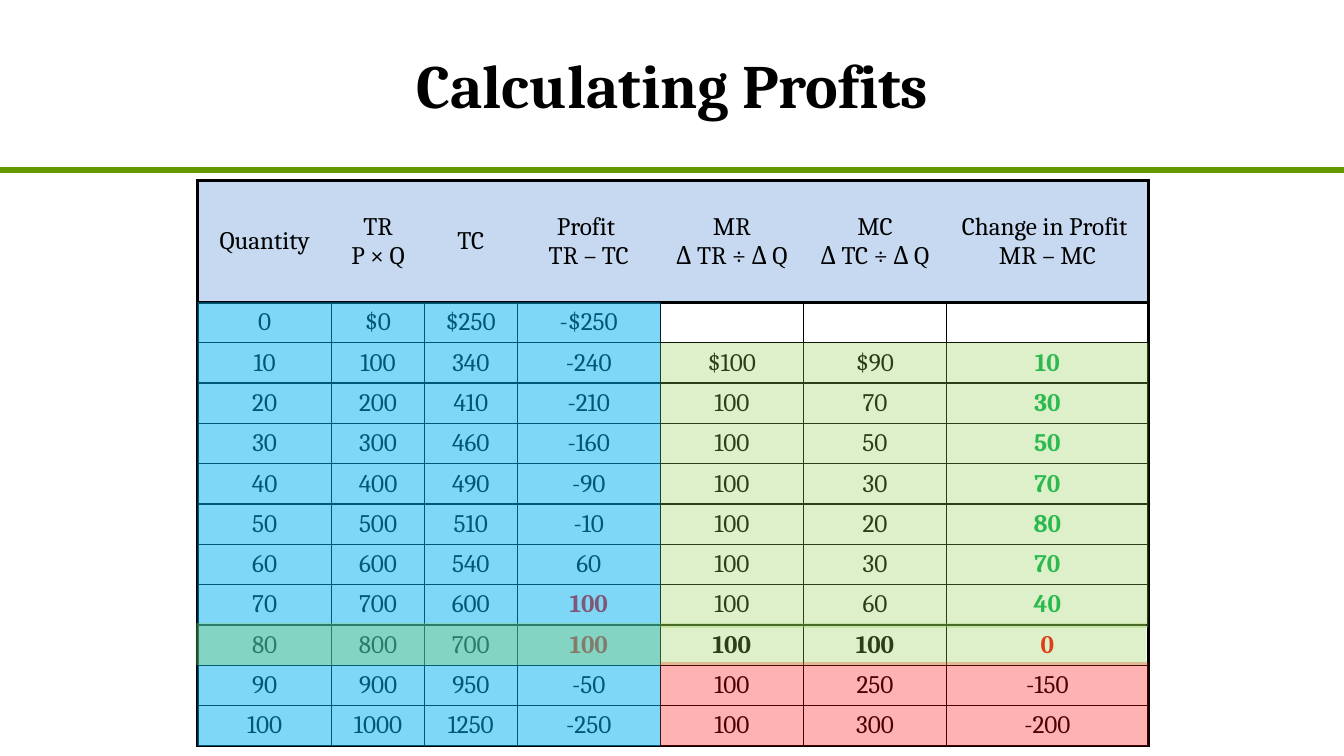
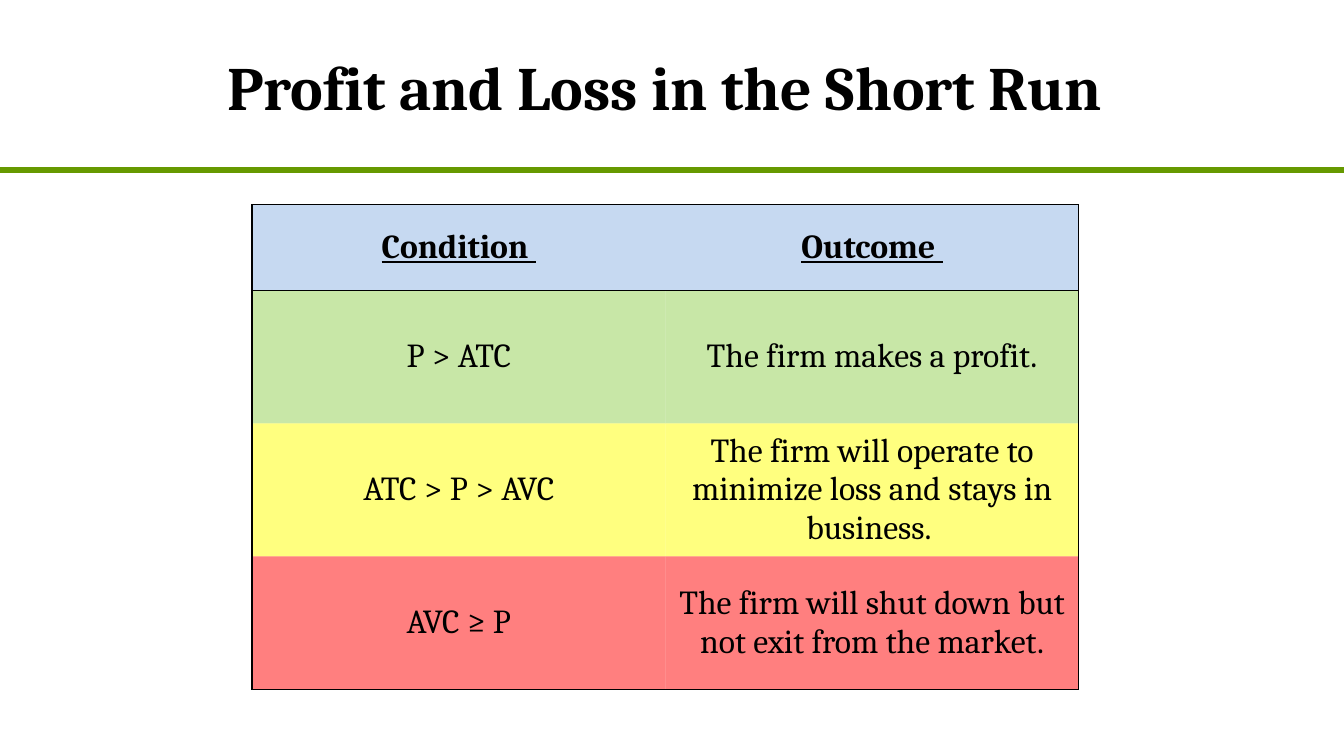
import pptx
import pptx.util
import pptx.dml.color
import pptx.enum.shapes
import pptx.enum.text
import pptx.oxml.ns
from lxml import etree

Inch, Pt = pptx.util.Inches, pptx.util.Pt
RGB = pptx.dml.color.RGBColor
qn = pptx.oxml.ns.qn
MID = pptx.enum.text.MSO_ANCHOR.MIDDLE
MIDDLE = pptx.enum.text.PP_ALIGN.CENTER

# Shared look
BLACK, WHITE = RGB(0, 0, 0), RGB(255, 255, 255)
RULE = RGB(0x66, 0x99, 0x00)
HEAD = RGB(0xC6, 0xD9, 0xF1)
BLUE = RGB(0x00, 0xB0, 0xF0)
LIME = RGB(0x92, 0xD0, 0x50)
GREEN = RGB(0x00, 0xB0, 0x50)
RED = RGB(255, 0, 0)
YELLOW = RGB(255, 255, 0)
WIDE, HIGH = 13.33, 7.5
BASE = {"name": "Cambria", "bold": False, "color": BLACK}
TITLE = {"size": Pt(44), "bold": True}

# Profit table
COSTS = {
    "title": ("Calculating Profits", (2.17, 0, 9, 1.67)),
    "at": (1.96, 1.79),
    "cols": [1.33, 0.92, 0.92, 1.42, 1.42, 1.42, 2],
    "rows": [1.21] + [0.4] * 11,
    "pad": 0.06, "outer": 2.25, "inner": 1, "size": 18,
    "cells": [
        ("Quantity", "TR\nP × Q", "TC", "Profit \nTR – TC", "MR\nΔ TR ÷ Δ Q",
         "MC\nΔ TC ÷ Δ Q", "Change in Profit \nMR – MC"),
        ("0", "$0", "$250", "-$250", "", "", ""),
        ("10", "100", "340", "-240", "$100", "$90", "10"),
        ("20", "200", "410", "-210", "100", "70", "30"),
        ("30", "300", "460", "-160", "100", "50", "50"),
        ("40", "400", "490", "-90", "100", "30", "70"),
        ("50", "500", "510", "-10", "100", "20", "80"),
        ("60", "600", "540", "60", "100", "30", "70"),
        ("70", "700", "600", "100", "100", "60", "40"),
        ("80", "800", "700", "100", "100", "100", "0"),
        ("90", "900", "950", "-50", "100", "250", "-150"),
        ("100", "1000", "1250", "-250", "100", "300", "-200"),
    ],
    "fills": [(HEAD, 100)] + [None] * 11,
    "head": {},
    # (row, column): bold text in this colour
    "bold": {**{(r, 6): GREEN for r in range(2, 9)},
             (8, 3): RED, (9, 3): RED, (9, 4): BLACK, (9, 5): BLACK, (9, 6): RED},
    # column span, row span, colour, opacity, shift of left, top and bottom
    "tints": [
        ((0, 4), (1, 12), BLUE, 50, (0, 0, 0)),
        ((4, 7), (2, 9), LIME, 30, (0, 0, 0.03)),
        ((4, 7), (10, 12), RED, 30, (0, -0.03, 0)),
        ((0, 7), (9, 10), LIME, 30, (-0.02, -0.02, 0)),
    ],
}

# Outcome table
RUN = {
    "title": ("Profit and Loss in the Short Run", (1.7, 0.02, 9.79, 1.67)),
    "at": (2.5, 2.03),
    "cols": [4.1] * 2,
    "rows": [0.85] + [1.32] * 3,
    "pad": 0.08, "outer": 1, "inner": 0, "size": 24,
    "cells": [
        ("Condition ", "Outcome "),
        ("P > ATC", "The firm makes a profit."),
        ("ATC > P > AVC",
         "The firm will operate to minimize loss and stays in business. "),
        ("AVC ≥ P", "The firm will shut down but not exit from the market."),
    ],
    "fills": [(HEAD, 100), (LIME, 50), (YELLOW, 50), (RED, 50)],
    "head": {"bold": True, "underline": True},
    "bold": {},
    "tints": [],
}


def write(frame, text, style):
    frame.text = text
    for para in frame.paragraphs:
        para.alignment = MIDDLE
        for run in para.runs:
            for key, value in {**BASE, **style}.items():
                if key == "color":
                    run.font.color.rgb = value
                else:
                    setattr(run.font, key, value)


def paint(fill, node, color, alpha):
    fill.solid()
    fill.fore_color.rgb = color
    if alpha < 100:
        tone = node.findall(qn("a:solidFill"))[-1][0]
        etree.SubElement(tone, qn("a:alpha"), val=str(alpha * 1000))


def edge(cell, side, width):
    line = etree.SubElement(cell._tc.get_or_add_tcPr(), qn("a:ln" + side),
                            w=str(int(Pt(width))))
    if width:
        solid = etree.SubElement(line, qn("a:solidFill"))
        etree.SubElement(solid, qn("a:srgbClr"), val=str(BLACK))
    else:
        etree.SubElement(line, qn("a:noFill"))


def start(deck, text, box):
    slide = deck.slides.add_slide(deck.slide_layouts[6])
    paint(slide.background.fill, None, WHITE, 100)
    rule = slide.shapes.add_connector(
        pptx.enum.shapes.MSO_CONNECTOR.STRAIGHT,
        0, Inch(1.69), Inch(WIDE), Inch(1.69))
    rule.line.color.rgb = RULE
    rule.line.width = Pt(4.5)
    etree.SubElement(rule._element.spPr, qn("a:effectLst"))
    frame = slide.shapes.add_textbox(*map(Inch, box)).text_frame
    frame.word_wrap = True
    frame.vertical_anchor = MID
    write(frame, text, TITLE)
    return slide


def draw(slide, data):
    cols, rows, pad = data["cols"], data["rows"], Inch(data["pad"])
    left, top = data["at"]
    grid = slide.shapes.add_table(
        len(rows), len(cols),
        *map(Inch, (left, top, sum(cols), sum(rows)))).table
    grid.first_row = grid.horz_banding = False
    for col, width in zip(grid.columns, cols):
        col.width = Inch(width)
    for row, height in zip(grid.rows, rows):
        row.height = Inch(height)

    outer, inner = data["outer"], data["inner"]
    form = {"margin_left": pad, "margin_right": pad, "margin_top": 0,
            "margin_bottom": 0, "vertical_anchor": MID}
    for r, texts in enumerate(data["cells"]):
        for c, text in enumerate(texts):
            cell = grid.cell(r, c)
            for key, value in form.items():
                setattr(cell, key, value)
            style = {"size": Pt(data["size"]), **(data["head"] if r == 0 else {})}
            if (r, c) in data["bold"]:
                style.update(bold=True, color=data["bold"][r, c])
            write(cell.text_frame, text, style)
            # Thick frame and header, no upright lines inside the header
            post = inner if r else 0
            edge(cell, "L", post if c else outer)
            edge(cell, "R", post if c < len(cols) - 1 else outer)
            edge(cell, "T", inner if r > 1 else outer)
            edge(cell, "B", inner if 0 < r < len(rows) - 1 else outer)
            if data["fills"][r]:
                paint(cell.fill, cell._tc.tcPr, *data["fills"][r])
            else:
                cell.fill.background()

    # Tints over spans of the grid
    for (c1, c2), (r1, r2), color, alpha, (dx, dy, drop) in data["tints"]:
        y1, y2 = top + sum(rows[:r1]) + dy, top + sum(rows[:r2]) + drop
        box = (left + sum(cols[:c1]) + dx, y1, sum(cols[c1:c2]), y2 - y1)
        tint = slide.shapes.add_shape(
            pptx.enum.shapes.MSO_SHAPE.RECTANGLE, *map(Inch, box))
        tint.shadow.inherit = False
        paint(tint.fill, tint._element.spPr, color, alpha)
        tint.line.fill.background()


def main():
    deck = pptx.Presentation()
    deck.slide_width, deck.slide_height = Inch(WIDE), Inch(HIGH)
    for data in (COSTS, RUN):
        draw(start(deck, *data["title"]), data)
    deck.save("out.pptx")


if __name__ == "__main__":
    main()
